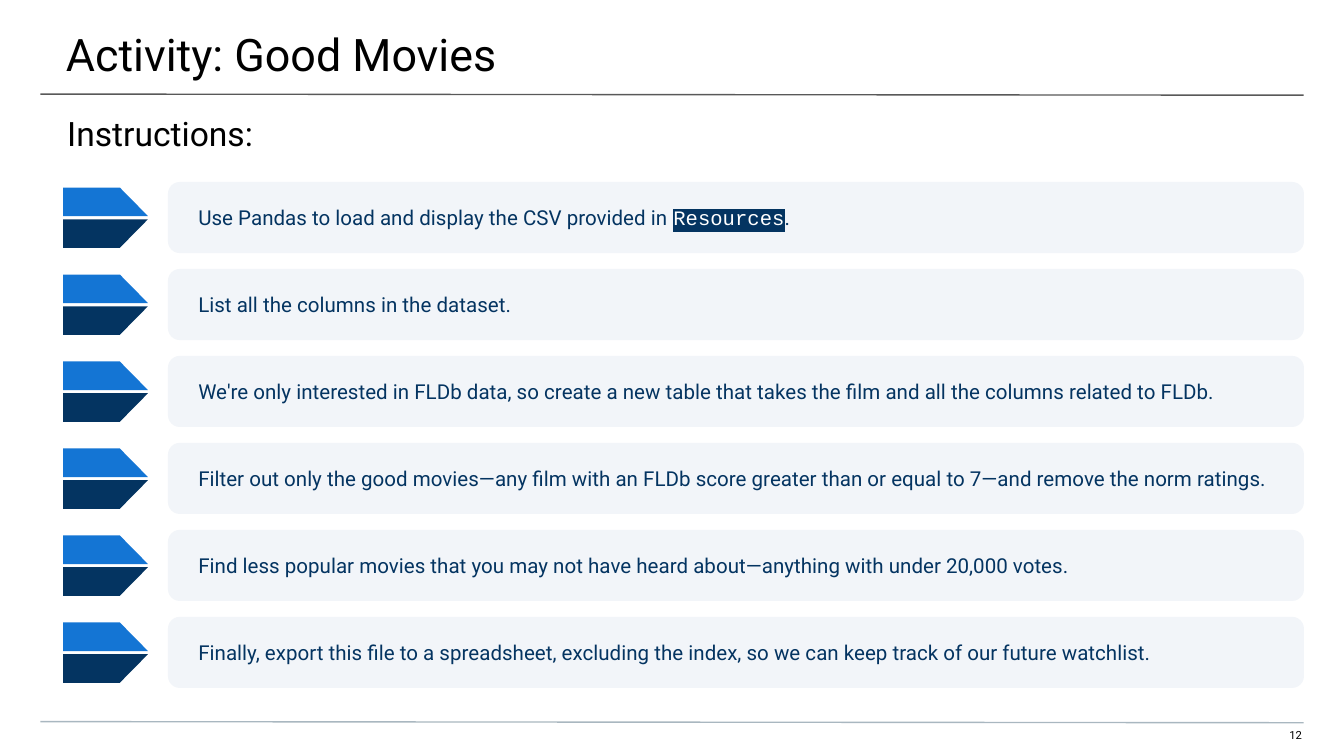
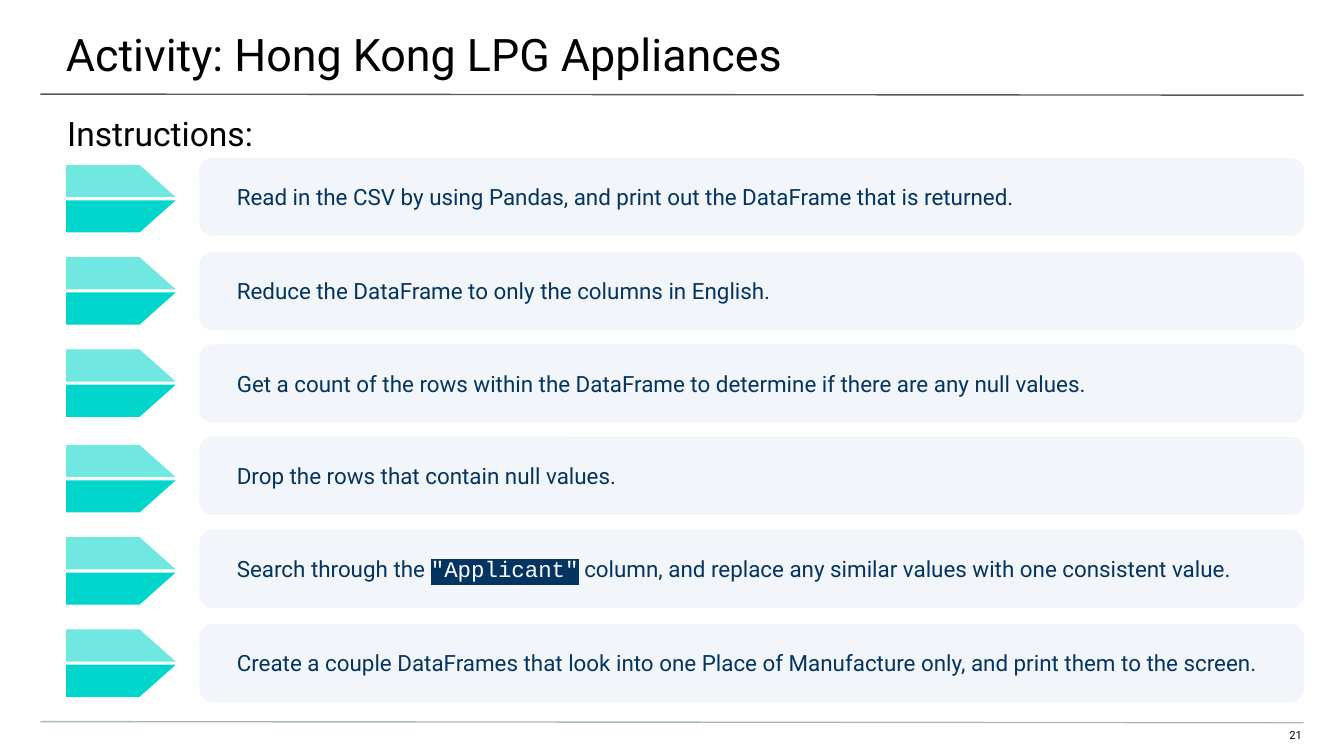
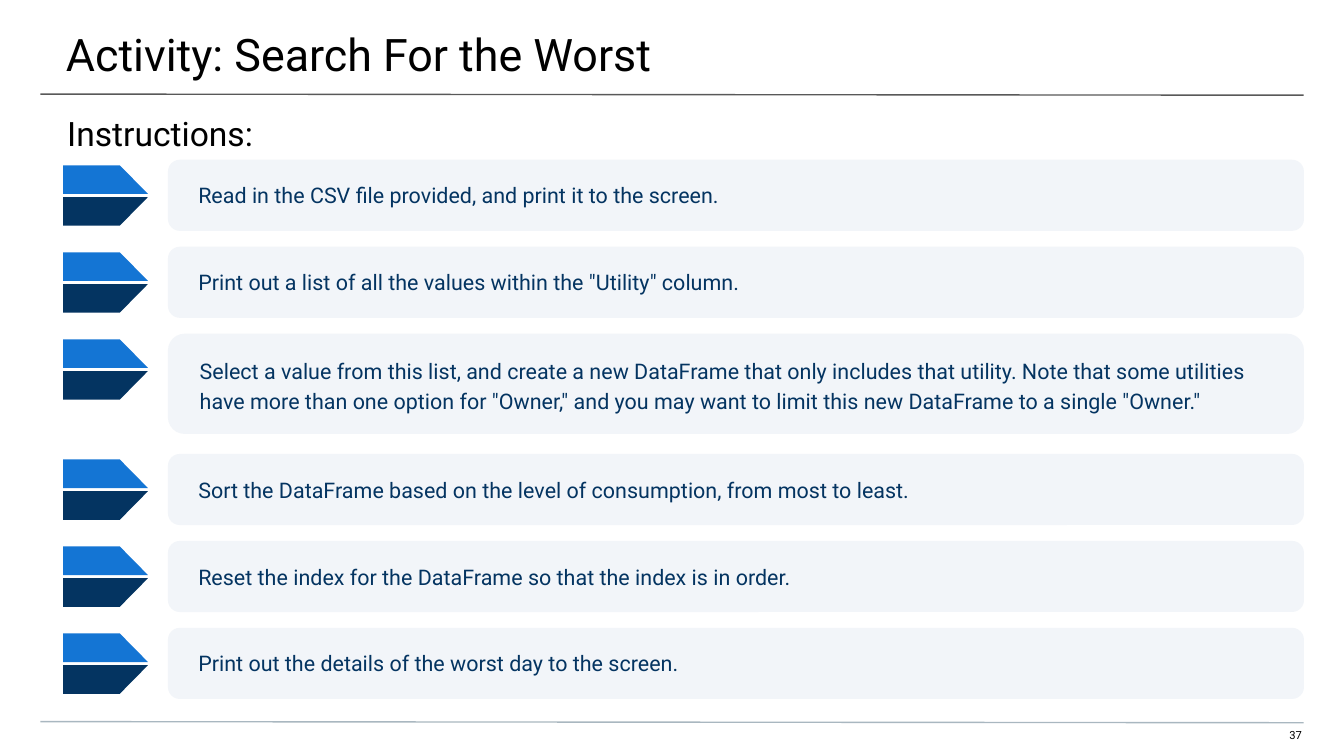
from dataclasses import dataclass

from lxml import etree
from pptx import Presentation
from pptx.dml.color import RGBColor
from pptx.enum import shapes, text
from pptx.oxml import ns
from pptx.util import Pt

COLORS = {
    "ink": "000000",
    "navy": "043461",
    "blue": "1475D4",
    "teal": "00D6CB",
    "card": "F2F5F9",
    "white": "FFFFFF",
    "title rule": "595959",
    "footer rule": "A9B7C0",
}
BODY_FONT = "Roboto"
CODE_FONT = "Courier New"


@dataclass
class Design:
    """Measures of the cards and arrows on one slide, in points."""
    card_left: float
    card_width: float
    card_height: float
    inset: float
    arrow_left: float
    arrow_width: float
    shoulder: float
    half_height: float
    upper: str
    lower: str
    upper_opacity: int = 100
    slit: float = 1.7


BLUE = Design(90, 608.6, 38.1, 14.4, 33.9, 45.4, 30.3, 15.3, "blue", "navy")
TEAL = Design(106.8, 591.8, 41.8, 18, 35.4, 58.7, 39.4, 17.2, "teal", "teal", 56)


def rgb(name):
    return RGBColor.from_string(COLORS[name])


def grid_tops(start, pitch, count):
    return [start + pitch * i for i in range(count)]


def add_xml(parent, tag, **attributes):
    return etree.SubElement(parent, ns.qn(tag), attributes)


def write_text(box, content, size, color="ink", align=text.PP_ALIGN.LEFT,
               anchor=text.MSO_ANCHOR.TOP, insets=(0, 0, 0, 0), spacing=1.0):
    """Fill a shape with one paragraph; parts between backticks are set as code."""
    frame = box.text_frame
    frame.word_wrap = True
    frame.auto_size = text.MSO_AUTO_SIZE.NONE
    frame.vertical_anchor = anchor
    (frame.margin_left, frame.margin_top,
     frame.margin_right, frame.margin_bottom) = [Pt(inset) for inset in insets]
    para = frame.paragraphs[0]
    para.alignment = align
    para.line_spacing = spacing
    para.space_before = Pt(0)
    for i, part in enumerate(content.split("`")):
        is_code = i % 2 == 1
        span = para.add_run()
        span.text = part
        span.font.size = Pt(size)
        span.font.name = CODE_FONT if is_code else BODY_FONT
        span.font.color.rgb = rgb("white" if is_code else color)
        if is_code:
            highlight = etree.Element(ns.qn("a:highlight"))
            add_xml(highlight, "a:srgbClr", val=COLORS["navy"])
            span.font._element.find(ns.qn("a:solidFill")).addnext(highlight)


def place(box, left, top, width, height):
    box.left, box.top, box.width, box.height = Pt(left), Pt(top), Pt(width), Pt(height)


def paint(shape, color, opacity=100):
    shape.shadow.inherit = False
    shape.line.fill.background()
    shape.fill.solid()
    shape.fill.fore_color.rgb = rgb(color)
    if opacity < 100:
        swatch = shape._element.spPr.find(ns.qn("a:solidFill"))[0]
        add_xml(swatch, "a:alpha", val=str(opacity * 1000))


def add_rule(page, top, color):
    rule = page.shapes.add_connector(
        shapes.MSO_CONNECTOR.STRAIGHT, Pt(21.6), Pt(top), Pt(698.4), Pt(top + 0.6))
    rule.line.color.rgb = rgb(color)
    rule.line.width = Pt(0.75)
    add_xml(rule._element.spPr, "a:effectLst")


def add_page(deck, title, number):
    """Add a slide with its title, subtitle, rules and page number."""
    page = deck.slides.add_slide(deck.slide_layouts[0])
    heading, subtitle = page.placeholders
    place(heading, -0.7, 0, 722, 42)
    write_text(heading, title, 24, insets=(36, 14.4, 21.6, 7.2))
    place(subtitle, 0, 53.3, 720, 28.8)
    write_text(subtitle, "Instructions:", 18, insets=(36, 7.2, 36, 0))
    add_rule(page, 50.4, "title rule")
    add_rule(page, 386.6, "footer rule")
    footer = page.shapes.add_textbox(Pt(677.5), Pt(390.2), Pt(20), Pt(8.6))
    write_text(footer, str(number), 6, align=text.PP_ALIGN.RIGHT, insets=(0, 0, 0, 7.2))
    return page


def add_card(page, design, top, content, size, height, spacing):
    card = page.shapes.add_shape(
        shapes.MSO_SHAPE.ROUNDED_RECTANGLE,
        Pt(design.card_left), Pt(top), Pt(design.card_width), Pt(height))
    paint(card, "card")
    write_text(card, content, size, "navy", anchor=text.MSO_ANCHOR.MIDDLE,
               insets=(design.inset, 7.2, 7.2, 7.2), spacing=spacing)


def add_arrow(page, design, top):
    """Add a pointed tab split into an upper and a lower half."""
    group = page.shapes.add_group_shape()
    left = design.arrow_left
    tip, shoulder = left + design.arrow_width, left + design.shoulder
    upper_end = top + design.half_height
    lower_start = upper_end + design.slit
    bottom = lower_start + design.half_height
    for outer, inner, color, opacity in (
            (top, upper_end, design.upper, design.upper_opacity),
            (bottom, lower_start, design.lower, 100)):
        outline = group.shapes.build_freeform(Pt(left), Pt(outer))
        corners = [(left, inner), (tip, inner), (shoulder, outer)]
        outline.add_line_segments([(Pt(x), Pt(y)) for x, y in corners])
        paint(outline.convert_to_shape(), color, opacity)


def add_steps(page, design, steps, size, card_tops, arrow_tops=None, tall_step=None):
    arrow_tops = arrow_tops or [top + 3 for top in card_tops]
    for i, (step, card_top, arrow_top) in enumerate(zip(steps, card_tops, arrow_tops)):
        height, spacing = (53.7, 1.15) if i == tall_step else (design.card_height, 1.0)
        add_card(page, design, card_top, step, size, height, spacing)
        add_arrow(page, design, arrow_top)


def main():
    deck = Presentation()
    deck.slide_width, deck.slide_height = Pt(720), Pt(405)

    movies = add_page(deck, "Activity: Good Movies", 12)
    add_steps(movies, BLUE, [
        "Use Pandas to load and display the CSV provided in `Resources`.",
        "List all the columns in the dataset.",
        "We're only interested in FLDb data, so create a new table that takes the film "
        "and all the columns related to FLDb.",
        "Filter out only the good movies—any film with an FLDb score greater than or "
        "equal to 7—and remove the norm ratings.",
        "Find less popular movies that you may not have heard about—anything with "
        "under 20,000 votes.",
        "Finally, export this file to a spreadsheet, excluding the index, so we can "
        "keep track of our future watchlist.",
    ], 11, grid_tops(97.5, 46.6, 6))

    appliances = add_page(deck, "Activity: Hong Kong LPG Appliances", 21)
    add_steps(appliances, TEAL, [
        "Read in the CSV by using Pandas, and print out the DataFrame that is returned.",
        "Reduce the DataFrame to only the columns in English.",
        "Get a count of the rows within the DataFrame to determine if there are any "
        "null values.",
        "Drop the rows that contain null values.",
        "Search through the `\"Applicant\"` column, and replace any similar values with "
        "one consistent value.",
        "Create a couple DataFrames that look into one Place of Manufacture only, and "
        "print them to the screen.",
    ], 12, [84.6, 135, 184.5, 234, 283.9, 334.3],
        arrow_tops=grid_tops(88.4, 49.4, 3) + grid_tops(238.4, 49.4, 3))

    worst = add_page(deck, "Activity: Search For the Worst", 37)
    add_steps(worst, BLUE, [
        "Read in the CSV file provided, and print it to the screen.",
        "Print out a list of all the values within the \"Utility\" column.",
        "Select a value from this list, and create a new DataFrame that only includes "
        "that utility. Note that some utilities have more than one option for "
        "\"Owner,\" and you may want to limit this new DataFrame to a single \"Owner.\"",
        "Sort the DataFrame based on the level of consumption, from most to least.",
        "Reset the index for the DataFrame so that the index is in order.",
        "Print out the details of the worst day to the screen.",
    ], 11.5, grid_tops(85.6, 46.6, 3) + grid_tops(243.2, 46.6, 3), tall_step=2)

    deck.save("out.pptx")


if __name__ == "__main__":
    main()
